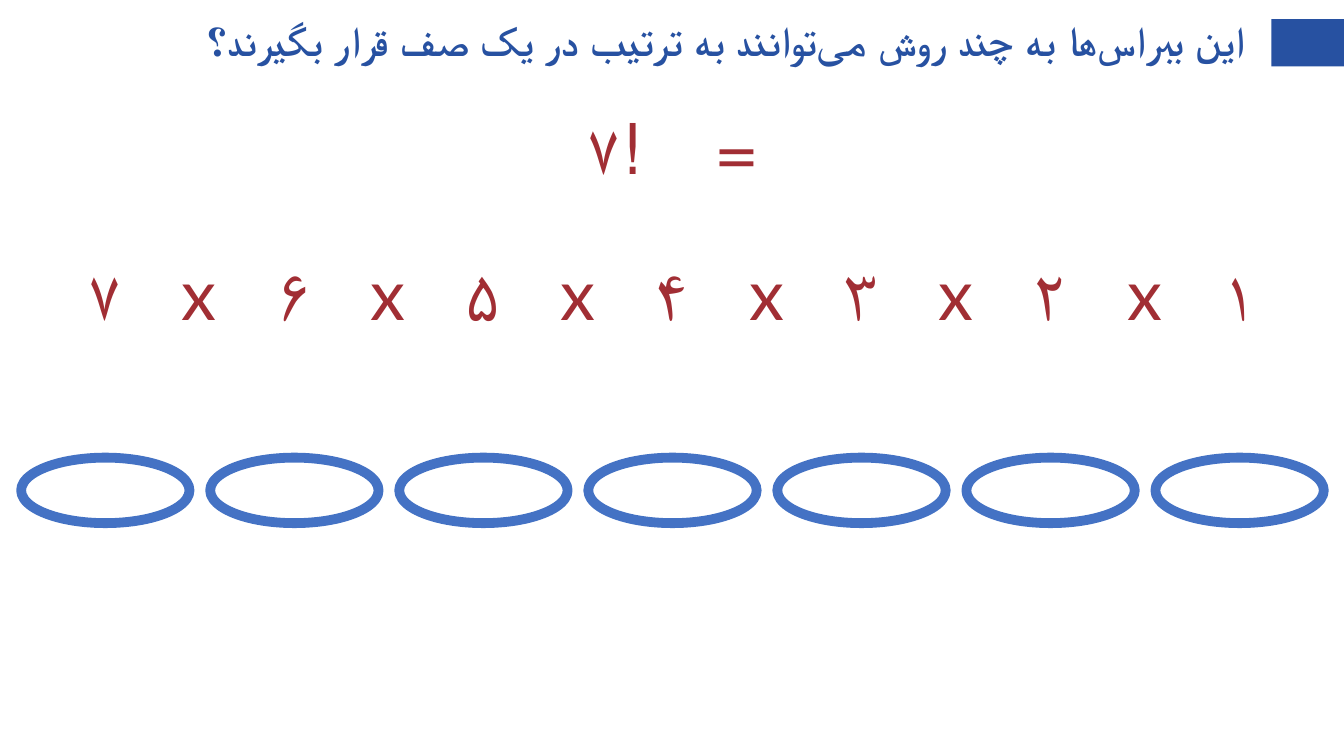
from pptx import Presentation
from pptx.dml.color import RGBColor
from pptx.enum.shapes import MSO_SHAPE
from pptx.enum.text import MSO_ANCHOR, MSO_AUTO_SIZE, PP_ALIGN
from pptx.util import Inches, Pt

RECT, OVAL = MSO_SHAPE.RECTANGLE, MSO_SHAPE.OVAL
TOP, MIDDLE = MSO_ANCHOR.TOP, MSO_ANCHOR.MIDDLE
FIT, FIXED = MSO_AUTO_SIZE.SHAPE_TO_FIT_TEXT, MSO_AUTO_SIZE.NONE
CENTER, RIGHT = PP_ALIGN.CENTER, PP_ALIGN.RIGHT

NAVY = RGBColor(0x27, 0x51, 0xA1)
BLUE = RGBColor(0x44, 0x72, 0xC4)
RED = RGBColor(0xA1, 0x2E, 0x34)
WHITE = RGBColor(0xFF, 0xFF, 0xFF)

BREAK = chr(0x200C)  # Persian half-space between word parts
TITLE = (f"این ببراس{BREAK}ها به چند روش می{BREAK}توانند "
         "به ترتیب در یک صف قرار بگیرند؟")
DIGITS = "۷۶۵۴۳۲۱"
STEP = 1.875  # distance between neighbouring places in the queue
FIRST = 1.04  # centre of the first place


def add_text(slide, text, left, top, width, height, size=50, font="Lato",
             color=RED, bold=False, align=CENTER, anchor=TOP, fit=FIT,
             wrap=False, before=10, gap=0):
    """Add right-to-left text; gap widens its first space, in points."""
    box = slide.shapes.add_textbox(Inches(left), Inches(top),
                                   Inches(width), Inches(height))
    frame = box.text_frame
    frame.word_wrap, frame.auto_size = wrap, fit
    frame.vertical_anchor = anchor
    frame.margin_left = frame.margin_right = Inches(0.05)
    frame.margin_top = frame.margin_bottom = Inches(0.05)
    para = frame.paragraphs[0]
    para.alignment = align
    para.line_spacing, para.space_before = 0.9, Pt(before)
    para._p.get_or_add_pPr().set("rtl", "1")
    for part in text.partition(" ") if gap else [text]:
        run = para.add_run()
        run.text = part
        run.font.size, run.font.name = Pt(size), font
        run.font.bold, run.font.color.rgb = bold, color
        if part == " ":
            run._r.get_or_add_rPr().set("spc", str(gap * 100))


def add_shape(slide, kind, left, top, width, height, fill, line=None):
    shape = slide.shapes.add_shape(kind, Inches(left), Inches(top),
                                   Inches(width), Inches(height))
    shape.shadow.inherit = False
    shape.fill.solid()
    shape.fill.fore_color.rgb = fill
    if line:
        shape.line.color.rgb, shape.line.width = line, Pt(7)
    else:
        shape.line.fill.background()


def add_factor(slide, text, center):
    add_text(slide, text, center - 0.25, 2.53, 0.5, 1.18)


def main():
    deck = Presentation()
    deck.slide_width, deck.slide_height = Inches(13.33), Inches(7.5)
    slide = deck.slides.add_slide(deck.slide_layouts[6])

    # Title with its marker
    add_shape(slide, RECT, 12.61, 0.19, 0.72, 0.47, NAVY)
    add_text(slide, TITLE, 0.92, 0.05, 11.5, 0.75, size=29.8, font="Arial",
             color=NAVY, bold=True, align=RIGHT, anchor=MIDDLE, fit=FIXED,
             wrap=True, before=9)

    # Factorial
    add_text(slide, "= !۷", 5.73, 1.08, 1.87, 1.18, gap=39)

    # Places in the queue, each with its factor
    for i, digit in enumerate(DIGITS):
        center = FIRST + i * STEP
        add_shape(slide, OVAL, center - 0.83, 4.54, 1.67, 0.65, WHITE, BLUE)
        add_factor(slide, digit, center)
        if i:
            add_factor(slide, "x", center - STEP / 2)

    deck.save("out.pptx")


if __name__ == "__main__":
    main()
